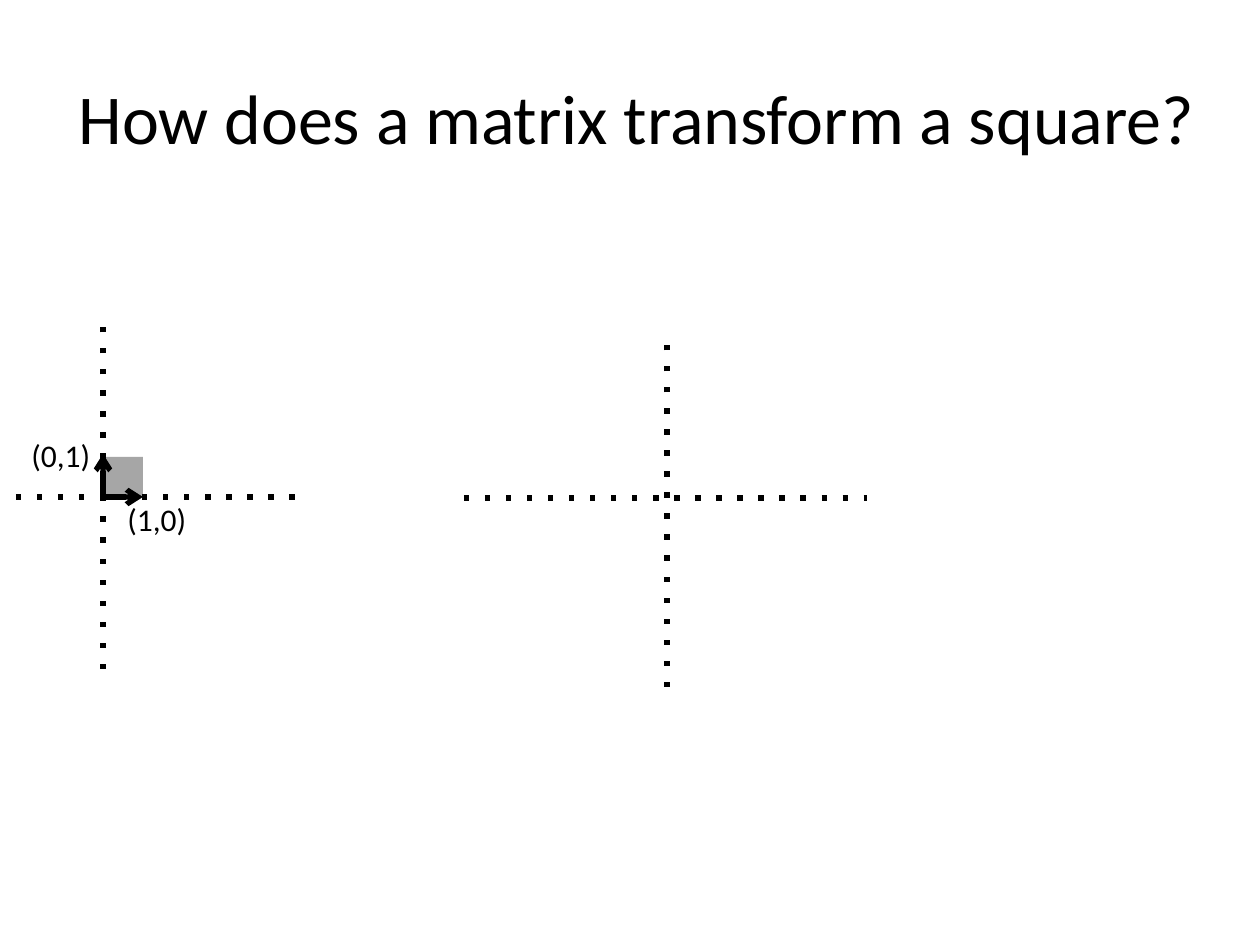
from lxml.etree import SubElement
from pptx import Presentation
from pptx.dml.color import RGBColor
from pptx.enum.shapes import MSO_CONNECTOR, MSO_SHAPE
from pptx.enum.text import MSO_ANCHOR, MSO_AUTO_SIZE, PP_ALIGN
from pptx.oxml.ns import qn
from pptx.util import Emu, Pt

PX = 914400 // 126
BLACK = RGBColor(0, 0, 0)
GREY = RGBColor(0xA6, 0xA6, 0xA6)


def px(*nums):
    return [Emu(n * PX) for n in nums]


def write(words, size, *box):
    frame = slide.shapes.add_textbox(*px(*box)).text_frame
    frame.text = words
    font = frame.paragraphs[0].runs[0].font
    font.name = "Calibri"
    font.size = Pt(size)
    font.color.rgb = BLACK
    return frame


deck = Presentation()
deck.slide_width, deck.slide_height = px(1260, 945)
slide = deck.slides.add_slide(deck.slide_layouts[6])

title = write("How does a matrix transform a square?", 40, 13, 38, 1247, 158)
title.word_wrap = True
title.vertical_anchor = MSO_ANCHOR.MIDDLE
title.paragraphs[0].alignment = PP_ALIGN.CENTER

for label, left, top in [("(1,0)", 115, 494), ("(0,1)", 19, 430)]:
    note = write(label, 18, left, top, 84, 50)
    note.word_wrap = False
    note.auto_size = MSO_AUTO_SIZE.SHAPE_TO_FIT_TEXT

square = slide.shapes.add_shape(MSO_SHAPE.RECTANGLE, *px(103, 457, 40, 40))
square.shadow.inherit = False
square.fill.solid()
square.fill.fore_color.rgb = GREY
square.line.fill.background()

axes = [
    (464, 498, 867, 498),
    (667, 687, 667, 338),
    (16, 497, 309, 497),
    (103, 669, 103, 320),
]
arrows = [(103, 497, 143, 497), (103, 497, 103, 454)]
for ends in axes + arrows:
    line = slide.shapes.add_connector(MSO_CONNECTOR.STRAIGHT, *px(*ends))
    line.line.color.rgb = BLACK
    line.line.width = Pt(3)
    props = line._element.spPr
    stroke = props.find(qn("a:ln"))
    if ends in axes:
        SubElement(stroke, qn("a:prstDash"), val="dot")
    else:
        SubElement(stroke, qn("a:tailEnd"), type="arrow")
    SubElement(props, qn("a:effectLst"))

deck.save("out.pptx")
